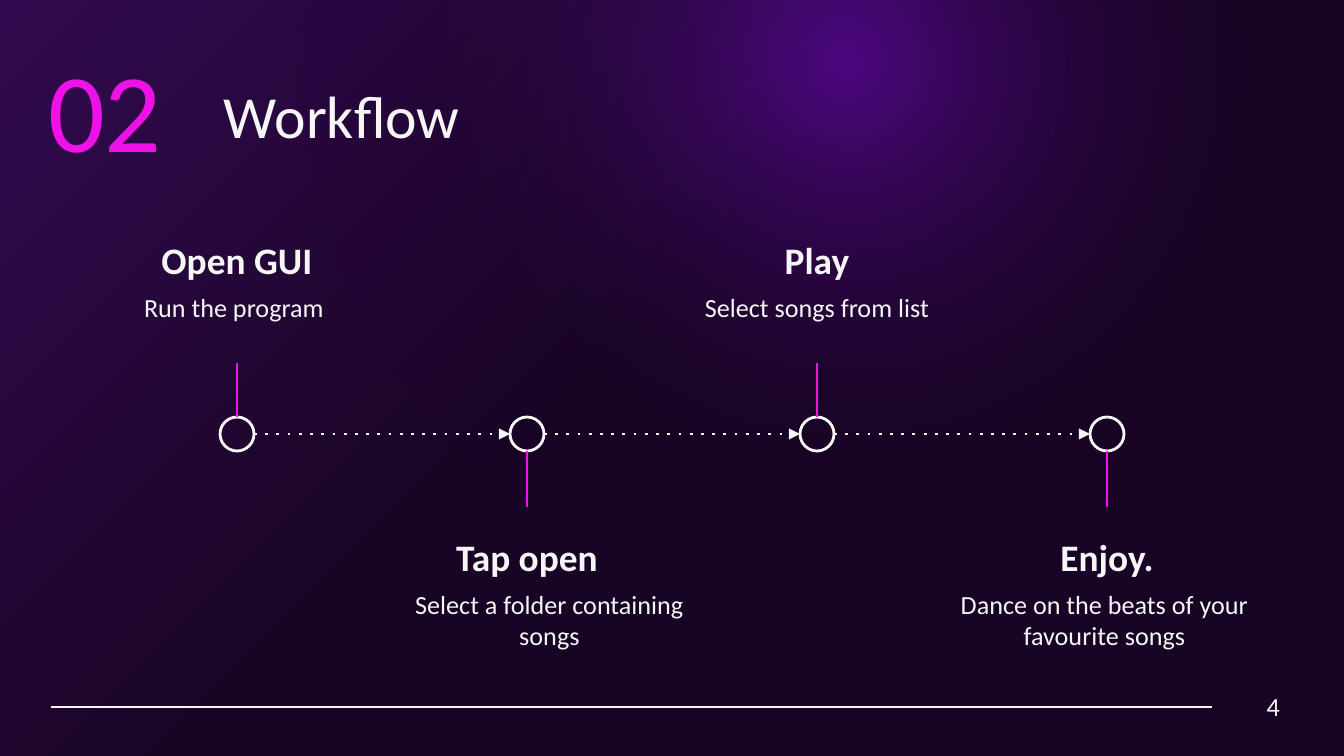
import pptx
import pptx.dml.color
import pptx.enum.shapes
import pptx.enum.text
import pptx.oxml
import pptx.oxml.ns
import pptx.util

SCALE = 914400 / 134.4
THEME = {
    "font": "Calibri", "white": "F6F6F6", "pink": "EE12E9",
    "violet": "320A4F", "night": "180424", "glow": "830BDE",
    "number": 60, "title": 32, "heading": 20, "body": 14, "line": 1.5,
}
NS = pptx.oxml.ns.nsdecls("a")
SHAPE = pptx.enum.shapes.MSO_SHAPE
ALIGN = pptx.enum.text.PP_ALIGN
ANCHOR = pptx.enum.text.MSO_ANCHOR


def px(*values):
    return [pptx.util.Emu(round(value * SCALE)) for value in values]


def color(name):
    return pptx.dml.color.RGBColor.from_string(THEME[name])


deck = pptx.Presentation()
deck.slide_width, deck.slide_height = px(1344, 756)
page = deck.slides.add_slide(deck.slide_layouts[6])

page.background.fill.solid()
glow = page.shapes.add_shape(SHAPE.OVAL, *px(301, -484, 1094, 1094))
glow.shadow.inherit = False
glow.fill.solid()
glow.line.fill.background()

gradients = [
    (page.background._cSld.find(".//" + pptx.oxml.ns.qn("p:bgPr")),
     [(0, "violet", 100), (47, "night", 100), (100, "night", 100)],
     '<a:lin ang="2700000" scaled="0"/>'),
    (glow._element.spPr,
     [(0, "glow", 50), (52, "violet", 2), (100, "violet", 2)],
     '<a:path path="circle"><a:fillToRect l="50000" t="50000" r="50000" b="50000"/></a:path>'),
]
for holder, stops, direction in gradients:
    stop_xml = "".join(
        f'<a:gs pos="{place * 1000}"><a:srgbClr val="{THEME[name]}">'
        f'<a:alpha val="{alpha * 1000}"/></a:srgbClr></a:gs>'
        for place, name, alpha in stops)
    gradient = pptx.oxml.parse_xml(
        f'<a:gradFill {NS} rotWithShape="1"><a:gsLst>{stop_xml}</a:gsLst>{direction}</a:gradFill>')
    holder.replace(holder.find(pptx.oxml.ns.qn("a:solidFill")), gradient)

texts = [
    ("Workflow", (211, 66, 1133, 85), "title", "white", ALIGN.LEFT, ANCHOR.TOP),
    ("4", (1212, 677, 81, 58), "body", "white", ALIGN.RIGHT, ANCHOR.MIDDLE),
    ("02", (17, 46, 176, 124), "number", "pink", ALIGN.CENTER, ANCHOR.MIDDLE),
]
lines = [((1212, 707), (51, 707), "white", False)]

steps = [
    ("Open GUI", "Run the program ", 105, 264),
    ("Tap open", "Select a folder containing songs", 395, 309),
    ("Play", "Select songs from list", 685, 264),
    ("Enjoy.", "Dance on the beats of your favourite songs", 900, 409),
]
first, gap, axis, radius = 237, 290, 434, 17
for index, (heading, body, body_left, body_width) in enumerate(steps):
    center = first + index * gap
    above = index % 2 == 0
    top = 210 if above else 507
    texts.append((heading, (center - 132, top, 264, 85), "heading", "white",
                  ALIGN.CENTER, ANCHOR.BOTTOM))
    texts.append((body, (body_left, top + 68, body_width, 85), "body", "white",
                  ALIGN.CENTER, ANCHOR.TOP))

    node = page.shapes.add_shape(
        SHAPE.OVAL, *px(center - radius, axis - radius, 2 * radius, 2 * radius))
    node.shadow.inherit = False
    node.fill.background()
    node.line.color.rgb = color("white")
    node.line.width = pptx.util.Pt(THEME["line"])

    if index < len(steps) - 1:
        lines.append(((center + radius, axis), (center + gap - radius, axis), "white", True))
    stem = (363, axis - radius) if above else (axis + radius, 507)
    lines.append(((center, stem[0]), (center, stem[1]), "pink", False))

for start, end, name, dotted in lines:
    connector = page.shapes.add_connector(
        pptx.enum.shapes.MSO_CONNECTOR.STRAIGHT, *px(*start, *end))
    connector.line.color.rgb = color(name)
    connector.line.width = pptx.util.Pt(THEME["line"])
    if dotted:
        outline = connector.line._get_or_add_ln()
        outline.append(pptx.oxml.parse_xml(f'<a:prstDash {NS} val="dot"/>'))
        outline.append(pptx.oxml.parse_xml(f'<a:tailEnd {NS} type="triangle"/>'))
    connector._element.spPr.append(pptx.oxml.parse_xml(f"<a:effectLst {NS}/>"))

for words, place, size, name, align, anchor in texts:
    box = page.shapes.add_textbox(*px(*place))
    frame = box.text_frame
    frame.word_wrap = True
    frame.vertical_anchor = anchor
    frame.margin_left, frame.margin_top, frame.margin_right, frame.margin_bottom = px(13, 13, 13, 13)
    para = frame.paragraphs[0]
    para.text = words
    para.alignment = align
    para.font.name = THEME["font"]
    para.font.size = pptx.util.Pt(THEME[size])
    para.font.bold = size == "heading"
    para.font.color.rgb = color(name)

deck.save("out.pptx")
